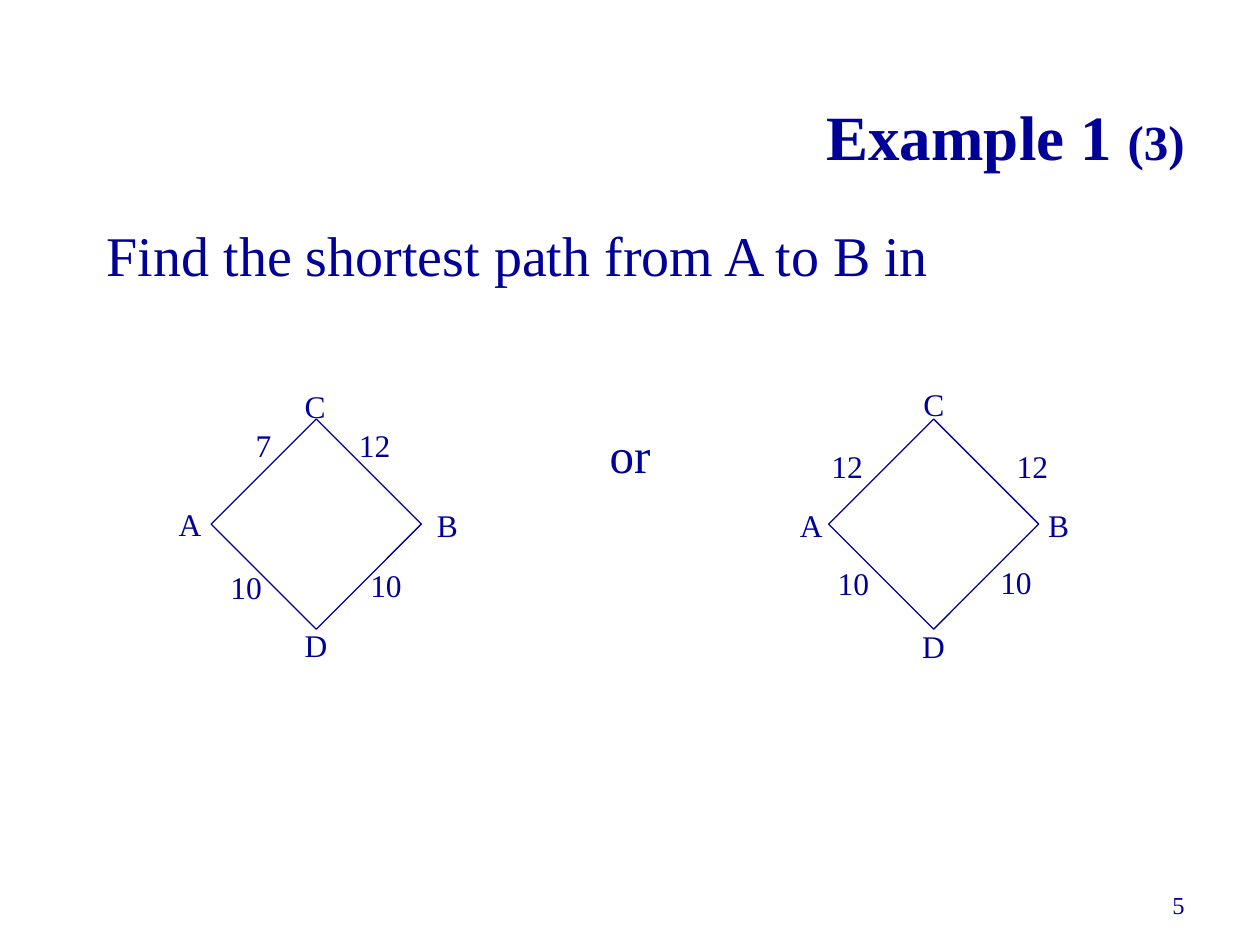
from pptx import Presentation, util as u
from pptx.dml import color
from pptx.enum import shapes, text

INK = "000099"
FONT = "Times New Roman"

presentation = Presentation()
presentation.slide_width = u.Inches(10)
presentation.slide_height = u.Inches(7.5)
COLUMN = presentation.slide_width // 100
ROW = presentation.slide_height // 75
slide = presentation.slides.add_slide(presentation.slide_layouts[6])


def rgb(value):
    return color.RGBColor.from_string(value)


def add_text(parent, box, runs, bold=False, **frame_format):
    left, top, width, height = box
    shape = parent.add_textbox(
        round(left * COLUMN), round(top * ROW), round(width * COLUMN), round(height * ROW)
    )
    alignment = frame_format.pop("alignment", text.PP_ALIGN.LEFT)
    frame = shape.text_frame
    for name, value in {"word_wrap": False, **frame_format}.items():
        setattr(frame, name, value)
    paragraph = frame.paragraphs[0]
    paragraph.alignment = alignment
    for words, size in runs:
        run = paragraph.add_run()
        run.text = words
        for name, value in {"name": FONT, "size": u.Pt(size), "bold": bold}.items():
            setattr(run.font, name, value)
        run.font.color.rgb = rgb(INK)


add_text(
    slide.shapes, (5, 3.2, 90, 15.1), [("Example 1 ", 36), ("(3)", 28)], bold=True,
    word_wrap=True, alignment=text.PP_ALIGN.RIGHT, vertical_anchor=text.MSO_ANCHOR.MIDDLE,
)
add_text(slide.shapes, (7.5, 17, 67.7, 6.4), [("Find the shortest path from A to B in", 32)])

label_widths = {"A": 3.8, "B": 3.6, "C": 3.6, "D": 3.8, "7": 3.2, "10": 4.5, "12": 4.5}
diamond_side = 11.8
diamond_top = 35.7
graphs = [
    (19.2, [
        ("A", 13.2, 39.6), ("B", 33.7, 39.7), ("C", 23.2, 30.2), ("D", 23.2, 49.2),
        ("10", 17.3, 44.6), ("10", 28.4, 44.4), ("12", 27.5, 33.3), ("7", 19.3, 33.3),
    ]),
    (68.2, [
        ("A", 62.5, 39.7), ("B", 82.2, 39.7), ("C", 72.3, 30.1), ("D", 72.2, 49.3),
        ("12", 65, 35), ("12", 79.7, 35), ("10", 65.5, 44.3), ("10", 78.4, 44.2),
    ]),
]

for diamond_left, labels in graphs:
    group = slide.shapes.add_group_shape()
    diamond = group.shapes.add_shape(
        shapes.MSO_SHAPE.RECTANGLE,
        round(diamond_left * COLUMN), round(diamond_top * ROW),
        round(diamond_side * COLUMN), round(diamond_side * ROW),
    )
    diamond.rotation = 45
    diamond.shadow.inherit = False
    diamond.fill.background()
    diamond.line.color.rgb = rgb(INK)
    diamond.line.width = u.Pt(0.75)
    for label, left, top in labels:
        add_text(group.shapes, (left, top, label_widths[label], 4), [(label, 18)])

add_text(slide.shapes, (47.4, 33.2, 5.2, 5.7), [("or", 28)])
add_text(
    slide.shapes, (71.7, 68.3, 23.3, 5.2), [("5", 14)],
    word_wrap=True, alignment=text.PP_ALIGN.RIGHT, vertical_anchor=text.MSO_ANCHOR.BOTTOM,
)

presentation.save("out.pptx")
